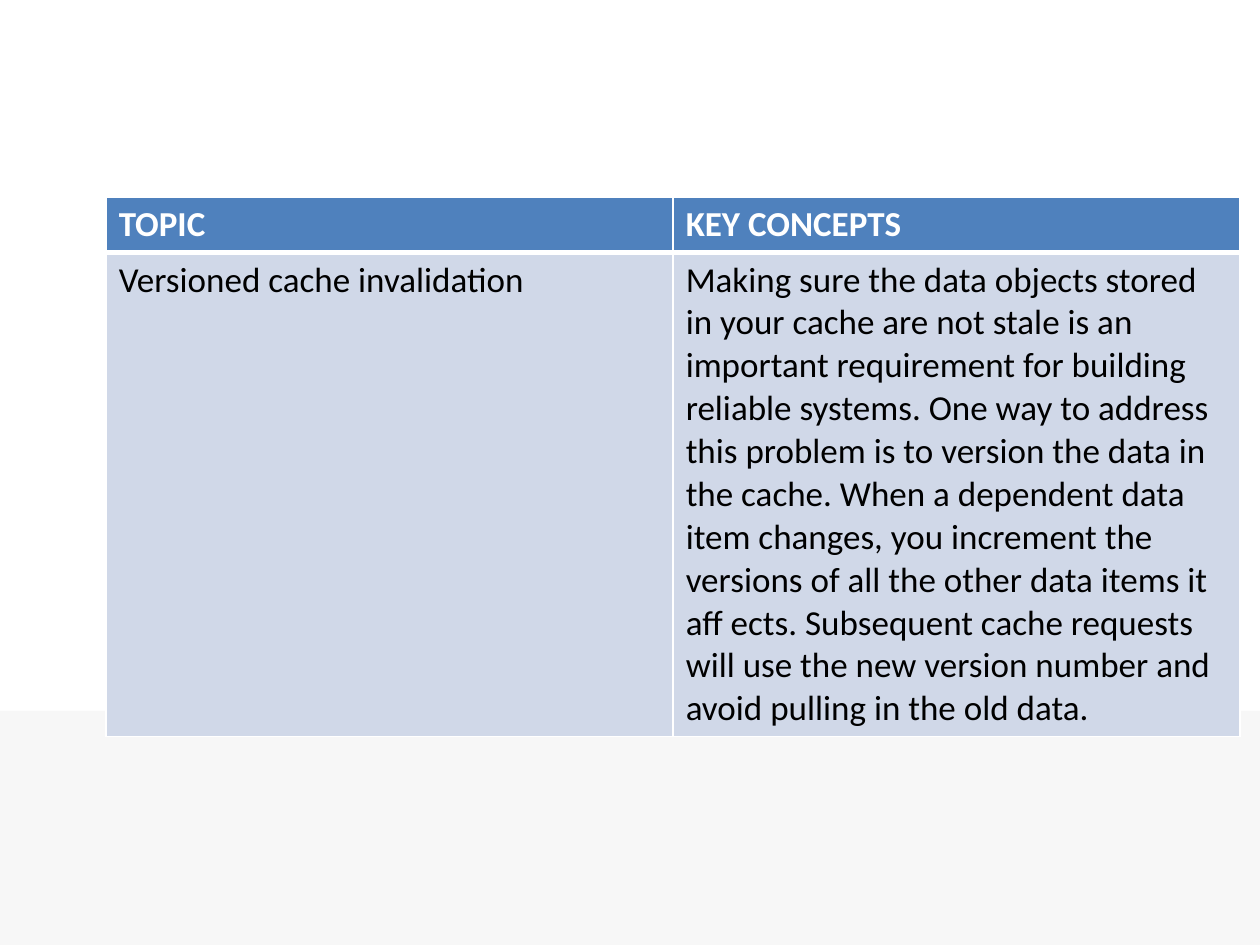
from pptx import Presentation
from pptx.dml.color import RGBColor
from pptx.enum.shapes import MSO_SHAPE as Shape
from pptx.oxml.ns import qn
from pptx.util import Cm, Pt
from lxml.etree import SubElement

WHITE = RGBColor(0xFF, 0xFF, 0xFF)
BLACK = RGBColor(0, 0, 0)
BLUE = RGBColor(0x4F, 0x81, 0xBD)
PALE_BLUE = RGBColor(0xD0, 0xD8, 0xE8)
LIGHT_GREY = RGBColor(0xF7, 0xF7, 0xF7)

ROWS = [
    ("TOPIC", "KEY CONCEPTS"),
    (
        "Versioned cache invalidation",
        "Making sure the data objects stored in your cache are not stale is an "
        "important requirement for building reliable systems. One way to address "
        "this problem is to version the data in the cache. When a dependent data "
        "item changes, you increment the versions of all the other data items it "
        "aff ects. Subsequent cache requests will use the new version number and "
        "avoid pulling in the old data.",
    ),
]


def write_text(frame, text, *, size=20, color=BLACK, bold=False, font="Calibri"):
    span = frame.paragraphs[0].add_run()
    span.text = text
    span.font.name = font
    span.font.size = Pt(size)
    span.font.bold = bold
    span.font.color.rgb = color


def add_band(page, left, top, width, height, color):
    band = page.shapes.add_shape(Shape.RECTANGLE, left, top, width, height)
    band.shadow.inherit = False
    band.fill.solid()
    band.fill.fore_color.rgb = color
    band.line.fill.background()


def set_borders(cell, color, **widths):
    properties = cell._tc.get_or_add_tcPr()
    for position, side in enumerate("LRTB"):
        line = properties.makeelement(qn(f"a:ln{side}"), {"w": str(Pt(widths.get(side, 1)))})
        fill = SubElement(line, qn("a:solidFill"))
        SubElement(fill, qn("a:srgbClr"), val=str(color))
        properties.insert(position, line)


def add_topic_table(page, rows, left, top, width, row_heights):
    frame = page.shapes.add_table(
        len(rows), len(rows[0]), left, top, width, sum(row_heights)
    )
    table = frame.table
    for row_index, texts in enumerate(rows):
        table.rows[row_index].height = row_heights[row_index]
        header = row_index == 0
        for column_index, text in enumerate(texts):
            cell = table.cell(row_index, column_index)
            cell.fill.solid()
            cell.fill.fore_color.rgb = BLUE if header else PALE_BLUE
            write_text(cell.text_frame, text, color=WHITE if header else BLACK, bold=header)
            if header:
                set_borders(cell, WHITE, B=3)
            else:
                set_borders(cell, WHITE, T=3)


def main():
    deck = Presentation()
    deck.slide_width, deck.slide_height = Cm(25.4), Cm(19.05)
    page = deck.slides.add_slide(deck.slide_layouts[6])
    page.background.fill.solid()
    page.background.fill.fore_color.rgb = WHITE
    band_top = Cm(14.33)
    add_band(page, 0, band_top, deck.slide_width, deck.slide_height - band_top, LIGHT_GREY)
    add_topic_table(page, ROWS, Cm(2.14), Cm(3.97), Cm(22.86), [Cm(1.04), Cm(1.04)])
    deck.save("out.pptx")


main()
